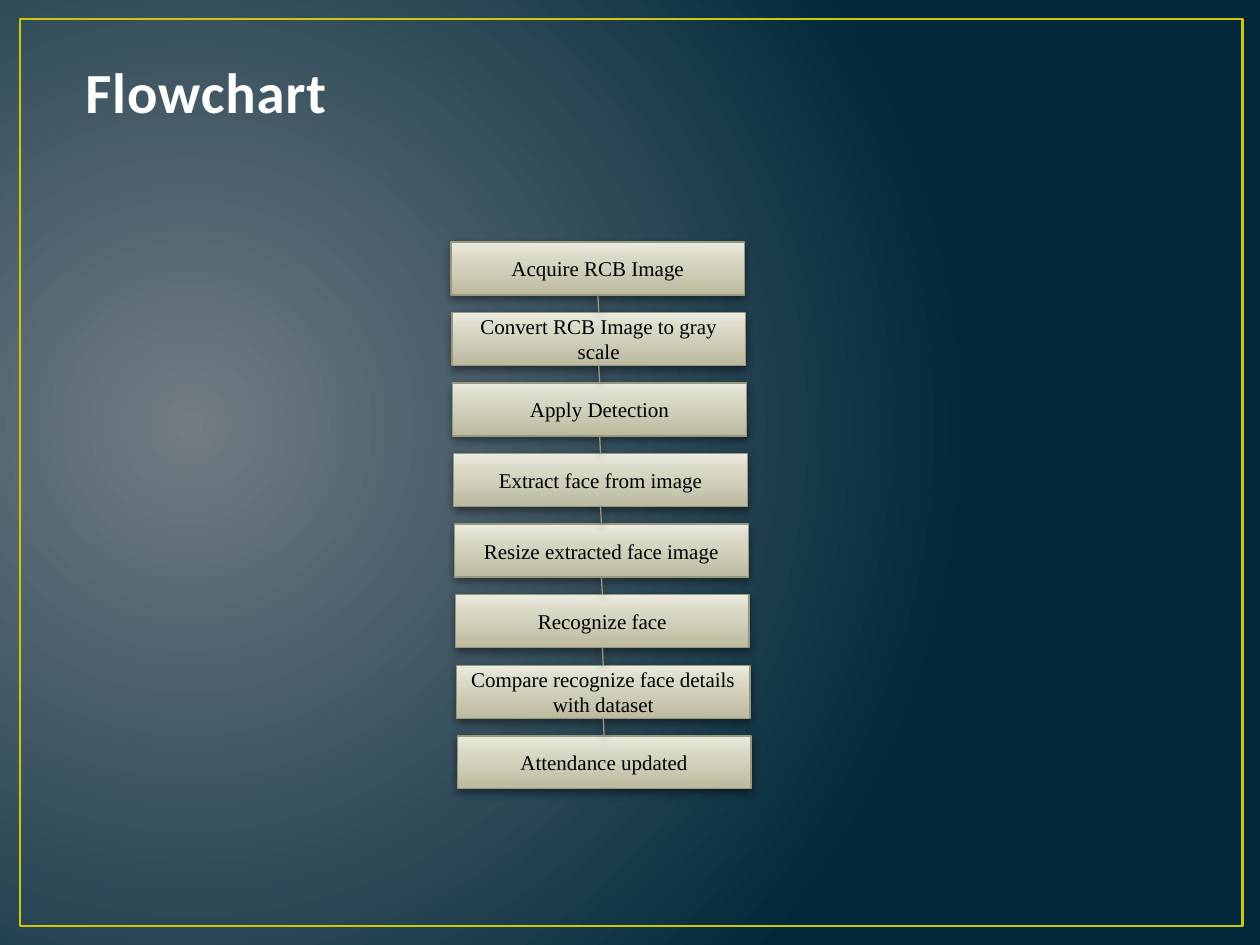
from itertools import pairwise

from lxml.etree import SubElement
from pptx import Presentation
from pptx.dml.color import RGBColor
from pptx.enum.shapes import MSO_CONNECTOR, MSO_SHAPE
from pptx.enum.text import MSO_ANCHOR, PP_ALIGN
from pptx.oxml.ns import qn
from pptx.util import Inches, Pt

WHITE = RGBColor(0xFE, 0xFE, 0xFE)
BLACK = RGBColor(0x00, 0x00, 0x00)
YELLOW = RGBColor(0xCF, 0xC6, 0x0D)
OLIVE = RGBColor(0x99, 0x98, 0x7F)
TITLE_OUTLINE = RGBColor(0x38, 0x4F, 0x55)
GLOW = RGBColor(0x71, 0x7C, 0x84)
NAVY = RGBColor(0x01, 0x29, 0x3A)
BOX_STOPS = [
    (0, RGBColor(0xBB, 0xBA, 0x9F)),
    (65, RGBColor(0xD8, 0xD7, 0xC4)),
    (100, RGBColor(0xEB, 0xEB, 0xDF)),
]

STEPS = [
    "Acquire RCB Image",
    "Convert RCB Image to gray scale",
    "Apply Detection",
    "Extract face from image",
    "Resize extracted face image",
    "Recognize face",
    "Compare recognize face details with dataset",
    "Attendance updated",
]
FIRST_LEFT, FIRST_TOP = 3.58, 1.92
DRIFT, PITCH = 0.05 / 7, 0.56
BOX_WIDTH, BOX_HEIGHT = 2.33, 0.42
BOTTOM_SITE, TOP_SITE = 2, 0


def add_element(parent, tag, **attributes):
    values = {name: str(value) for name, value in attributes.items()}
    return SubElement(parent, qn(tag), values)


def add_color(parent, color):
    return add_element(parent, "a:srgbClr", val=color)


def set_gradient(fill, properties, stops):
    """Give the fill these stops and return its element, without a direction."""
    fill.gradient()
    gradient = properties.find(qn("a:gradFill"))
    for child in list(gradient):
        gradient.remove(child)
    stop_list = add_element(gradient, "a:gsLst")
    for percent, color in stops:
        add_color(add_element(stop_list, "a:gs", pos=percent * 1000), color)
    return gradient


def set_background(slide):
    fill = slide.background.fill
    properties = slide.element.cSld.find(qn("p:bg")).find(qn("p:bgPr"))
    gradient = set_gradient(fill, properties, [(0, GLOW), (100, NAVY)])
    circle = add_element(gradient, "a:path", path="circle")
    add_element(circle, "a:fillToRect", l=15000, t=50000, r=85000, b=60000)


def add_shadow(shape):
    effects = add_element(shape.element.spPr, "a:effectLst")
    shadow = add_element(effects, "a:outerShdw", blurRad=Pt(5), dist=Pt(2),
                         dir=5400000, rotWithShape=0)
    add_element(add_color(shadow, BLACK), "a:alpha", val=43000)


def set_line(shape, color, width):
    shape.line.color.rgb = color
    shape.line.width = Pt(width)


def add_frame(slide):
    frame = slide.shapes.add_shape(MSO_SHAPE.RECTANGLE, Inches(0.16), Inches(0.15),
                                   Inches(9.7), Inches(7.2))
    frame.shadow.inherit = False
    frame.fill.background()
    set_line(frame, YELLOW, 1.5)


def add_title(slide, text):
    box = slide.shapes.add_textbox(Inches(0.58), Inches(0.42), Inches(8.83), Inches(0.62))
    text_frame = box.text_frame
    text_frame.word_wrap = True
    text_frame.vertical_anchor = MSO_ANCHOR.BOTTOM
    run = text_frame.paragraphs[0].add_run()
    run.text = text
    font = run.font
    font.name, font.size, font.bold = "Calibri", Pt(32.4), True
    font.color.rgb = WHITE
    properties = run._r.get_or_add_rPr()
    properties.set("spc", "50")
    outline = add_element(properties, "a:ln", w=Pt(1.05))
    add_color(add_element(outline, "a:solidFill"), TITLE_OUTLINE)
    properties.insert(0, outline)


def add_step(slide, index, text):
    box = slide.shapes.add_shape(
        MSO_SHAPE.FLOWCHART_PROCESS,
        Inches(FIRST_LEFT + index * DRIFT), Inches(FIRST_TOP + index * PITCH),
        Inches(BOX_WIDTH), Inches(BOX_HEIGHT))
    gradient = set_gradient(box.fill, box.element.spPr, BOX_STOPS)
    add_element(gradient, "a:lin", ang=270 * 60000, scaled=0)
    set_line(box, OLIVE, 0.75)
    add_shadow(box)
    text_frame = box.text_frame
    text_frame.word_wrap = True
    text_frame.vertical_anchor = MSO_ANCHOR.MIDDLE
    paragraph = text_frame.paragraphs[0]
    paragraph.text = text
    paragraph.alignment = PP_ALIGN.CENTER
    font = paragraph.font
    font.name, font.size = "Times New Roman", Pt(12)
    font.color.rgb = BLACK
    return box


def add_link(slide, upper, lower):
    link = slide.shapes.add_connector(MSO_CONNECTOR.STRAIGHT, 0, 0, 0, 0)
    link.begin_connect(upper, BOTTOM_SITE)
    link.end_connect(lower, TOP_SITE)
    set_line(link, OLIVE, 0.75)
    add_shadow(link)


def main():
    presentation = Presentation()
    presentation.slide_width = Inches(10)
    presentation.slide_height = Inches(7.5)
    slide = presentation.slides.add_slide(presentation.slide_layouts[6])
    set_background(slide)
    add_frame(slide)
    add_title(slide, "Flowchart")
    boxes = [add_step(slide, index, text) for index, text in enumerate(STEPS)]
    for upper, lower in pairwise(boxes):
        add_link(slide, upper, lower)
    presentation.save("out.pptx")


if __name__ == "__main__":
    main()
